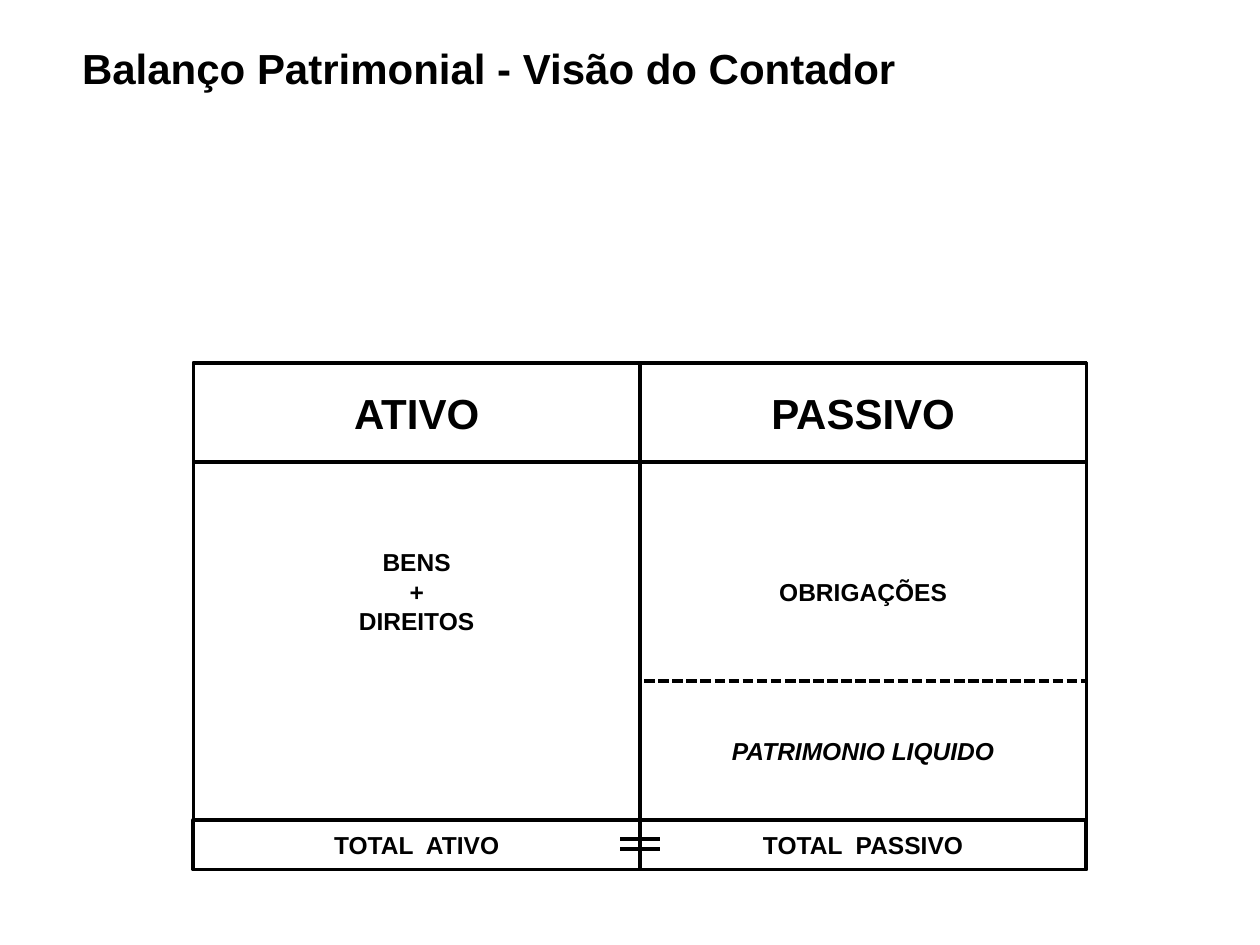
"""Builds the balance sheet slide as seen by the accountant."""
from pptx import Presentation
from pptx.dml.color import RGBColor
from pptx.enum.dml import MSO_LINE
from pptx.enum.shapes import MSO_CONNECTOR, MSO_SHAPE
from pptx.enum.text import MSO_ANCHOR, PP_ALIGN
from pptx.oxml.ns import qn
from pptx.util import Cm, Pt

RECT = MSO_SHAPE.RECTANGLE
LINE = MSO_CONNECTOR.STRAIGHT
DASH = MSO_LINE.SQUARE_DOT
MIDDLE = MSO_ANCHOR.MIDDLE
LEFT, CENTER = PP_ALIGN.LEFT, PP_ALIGN.CENTER
COLORS = {"ink": "000000"}
INK = RGBColor.from_string(COLORS["ink"])


def style(frame, size, align, italic=None):
    frame.word_wrap = True
    frame.vertical_anchor = MIDDLE
    for para in frame.paragraphs:
        para.alignment = align
        font = para.font
        font.name, font.size = "Arial", Pt(size)
        font.bold, font.italic = True, italic
        font.color.rgb = INK


def stroke(line, width):
    line.color.rgb = INK
    line.width = Pt(width)


deck = Presentation()
deck.slide_width, deck.slide_height = Cm(25.4), Cm(19.05)
slide = deck.slides.add_slide(deck.slide_layouts[5])

title = slide.shapes.title
title.left, title.top = Cm(1.4), Cm(0.53)
title.width, title.height = Cm(19.3), Cm(1.8)
title.text_frame.text = "Balanço Patrimonial - Visão do Contador"
style(title.text_frame, 24, LEFT)
title.text_frame.paragraphs[0].line_spacing = 0.9

wide = 9
assets = 3.9
claims = assets + wide
top, base = 7.32, 16.53
body, head, equity, total = 9.2, 2, 2.8, 1
cells = [
    (assets, top, body, "BENS\n+\nDIREITOS", 14, 2, False),
    (assets, top, head, "ATIVO", 24, 2, False),
    (claims, top, body, "OBRIGAÇÕES", 14, 2, False),
    (claims, top, head, "PASSIVO", 24, 2, False),
    (claims, base - equity, equity, "PATRIMONIO LIQUIDO", 14, 2, True),
    (assets, base, total, "TOTAL  ATIVO", 14, 2.25, False),
    (claims, base, total, "TOTAL  PASSIVO", 14, 2.25, False),
]
for x, y, high, text, size, width, dashed in cells:
    cell = slide.shapes.add_shape(RECT, Cm(x), Cm(y), Cm(wide), Cm(high))
    cell.shadow.inherit = False
    cell.fill.background()
    stroke(cell.line, width)
    if dashed:
        cell.line.dash_style = DASH
    cell.text_frame.text = text
    style(cell.text_frame, size, CENTER, dashed or None)

half = 0.4
for y in (16.92, 17.12):
    bar = slide.shapes.add_connector(
        LINE, Cm(claims - half), Cm(y), Cm(claims + half), Cm(y))
    stroke(bar.line, 2.25)
    props = bar.element.spPr
    props.append(props.makeelement(qn("a:effectLst"), {}))

deck.save("out.pptx")
